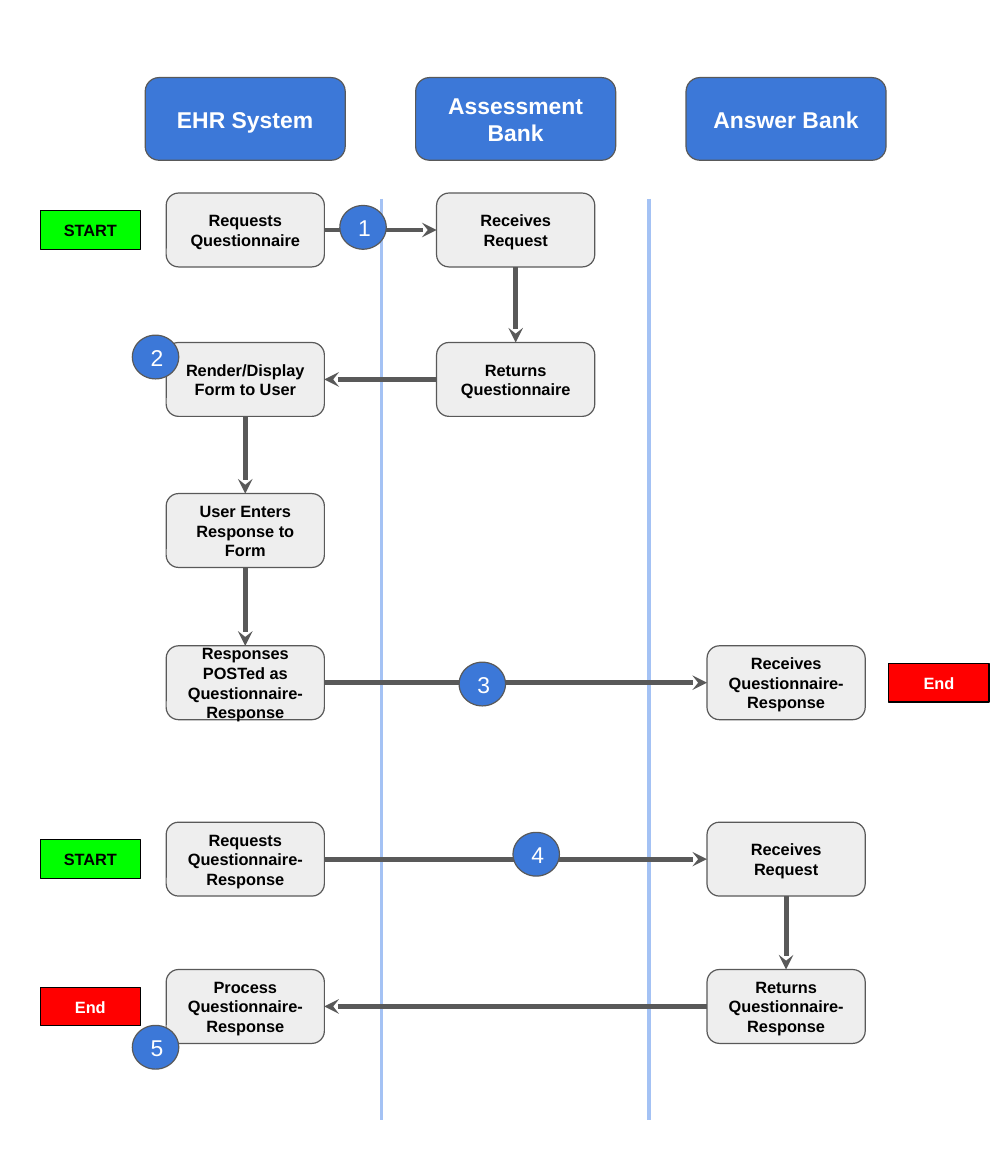
from lxml.etree import SubElement
from pptx import Presentation
from pptx.dml.color import RGBColor
from pptx.enum.shapes import MSO_CONNECTOR, MSO_SHAPE
from pptx.enum.text import MSO_ANCHOR, PP_ALIGN
from pptx.oxml.ns import qn
from pptx.util import Pt

BLUE, GREY, DARK, LANE = "3C78D8", "EEEEEE", "595959", "A4C2F4"
GREEN, RED, BLACK, WHITE = "00FF00", "FF0000", "000000", "FFFFFF"
TOP, LEFT, BOTTOM, RIGHT = range(4)


def add_label(text, kind, x, y, w, h, *, fill, line=DARK, color=BLACK,
              size=10, bold=True, align=PP_ALIGN.CENTER):
    """Add a filled shape with text; each line of text is a paragraph."""
    shape = slide.shapes.add_shape(kind, Pt(x), Pt(y), Pt(w), Pt(h))
    shape.shadow.inherit = False
    shape.fill.solid()
    shape.fill.fore_color.rgb = RGBColor.from_string(fill)
    shape.line.color.rgb = RGBColor.from_string(line)
    shape.line.width = Pt(0.75)
    frame = shape.text_frame
    frame.word_wrap = True
    frame.vertical_anchor = MSO_ANCHOR.MIDDLE
    frame.margin_left = frame.margin_right = Pt(7.2)
    frame.margin_top = frame.margin_bottom = Pt(7.2)
    frame.text = text
    for paragraph in frame.paragraphs:
        paragraph.alignment = align
        font = paragraph.runs[0].font
        font.name, font.size, font.bold = "Arial", Pt(size), bold
        font.color.rgb = RGBColor.from_string(color)
    return shape


def add_line(x1, y1, x2, y2, color, width):
    line = slide.shapes.add_connector(
        MSO_CONNECTOR.STRAIGHT, Pt(x1), Pt(y1), Pt(x2), Pt(y2))
    line.line.color.rgb = RGBColor.from_string(color)
    line.line.width = Pt(width)
    SubElement(line._element.spPr, qn("a:effectLst"))
    return line


prs = Presentation()
prs.slide_width, prs.slide_height = Pt(612), Pt(720)
slide = prs.slides.add_slide(prs.slide_layouts[6])

# Three systems, one per column
column_centers = [150.1 + 165.5 * i for i in range(3)]
for system, center in zip(["EHR System", "Assessment Bank", "Answer Bank"], column_centers):
    add_label(system, MSO_SHAPE.ROUNDED_RECTANGLE, center - 61.2, 47.5, 122.4, 50.6,
              fill=BLUE, color=WHITE, size=14)

for lane_x in (233.5, 397.3):
    add_line(lane_x, 121.8, lane_x, 686, LANE, 2.25)

# Process steps: key, column, row, text
row_tops = [118.2, 209.7, 302.2, 395.4, 503.4, 593.6]
step_width, step_height = 96.8, 45.2
steps = {}
for key, column, row, text in [
    ("request", 0, 0, "Requests Questionnaire"),
    ("receive", 1, 0, "Receives\nRequest"),
    ("return", 1, 1, "Returns\nQuestionnaire"),
    ("render", 0, 1, "Render/Display Form to User"),
    ("enter", 0, 2, "User Enters Response to Form"),
    ("post", 0, 3, "Responses POSTed as Questionnaire- Response"),
    ("store", 2, 3, "Receives Questionnaire- Response"),
    ("request answers", 0, 4, "Requests Questionnaire- Response"),
    ("receive answers", 2, 4, "Receives Request"),
    ("return answers", 2, 5, "Returns\nQuestionnaire-\nResponse"),
    ("process", 0, 5, "Process Questionnaire- Response"),
]:
    steps[key] = add_label(text, MSO_SHAPE.ROUNDED_RECTANGLE,
                           column_centers[column] - step_width / 2, row_tops[row],
                           step_width, step_height, fill=GREY)

for source, source_side, target, target_side in [
    ("request", RIGHT, "receive", LEFT),
    ("receive", BOTTOM, "return", TOP),
    ("return", LEFT, "render", RIGHT),
    ("render", BOTTOM, "enter", TOP),
    ("enter", BOTTOM, "post", TOP),
    ("post", RIGHT, "store", LEFT),
    ("request answers", RIGHT, "receive answers", LEFT),
    ("receive answers", BOTTOM, "return answers", TOP),
    ("return answers", LEFT, "process", RIGHT),
]:
    arrow = add_line(0, 0, 0, 0, DARK, 3)
    arrow.begin_connect(steps[source], source_side)
    arrow.end_connect(steps[target], target_side)
    SubElement(arrow.line._get_or_add_ln(), qn("a:tailEnd"), type="stealth")

# Start and end flags, centred on their rows
for text, x, row, fill, color in [
    ("START", 24.6, 0, GREEN, BLACK),
    ("End", 544, 3, RED, WHITE),
    ("START", 24.6, 4, GREEN, BLACK),
    ("End", 24.6, 5, RED, WHITE),
]:
    add_label(text, MSO_SHAPE.RECTANGLE, x, row_tops[row] + 10.8, 61.3, 23.6,
              fill=fill, line=BLACK, color=color)

# Numbered stages
stage_spots = [(208, 125.8), (81, 205.2), (281, 405.4), (314, 509.6), (81, 627.8)]
for number, (x, y) in enumerate(stage_spots, 1):
    add_label(str(number), MSO_SHAPE.OVAL, x, y, 28.4, 26.8, fill=BLUE,
              color=WHITE, size=14, bold=False, align=PP_ALIGN.LEFT)

prs.save("out.pptx")
